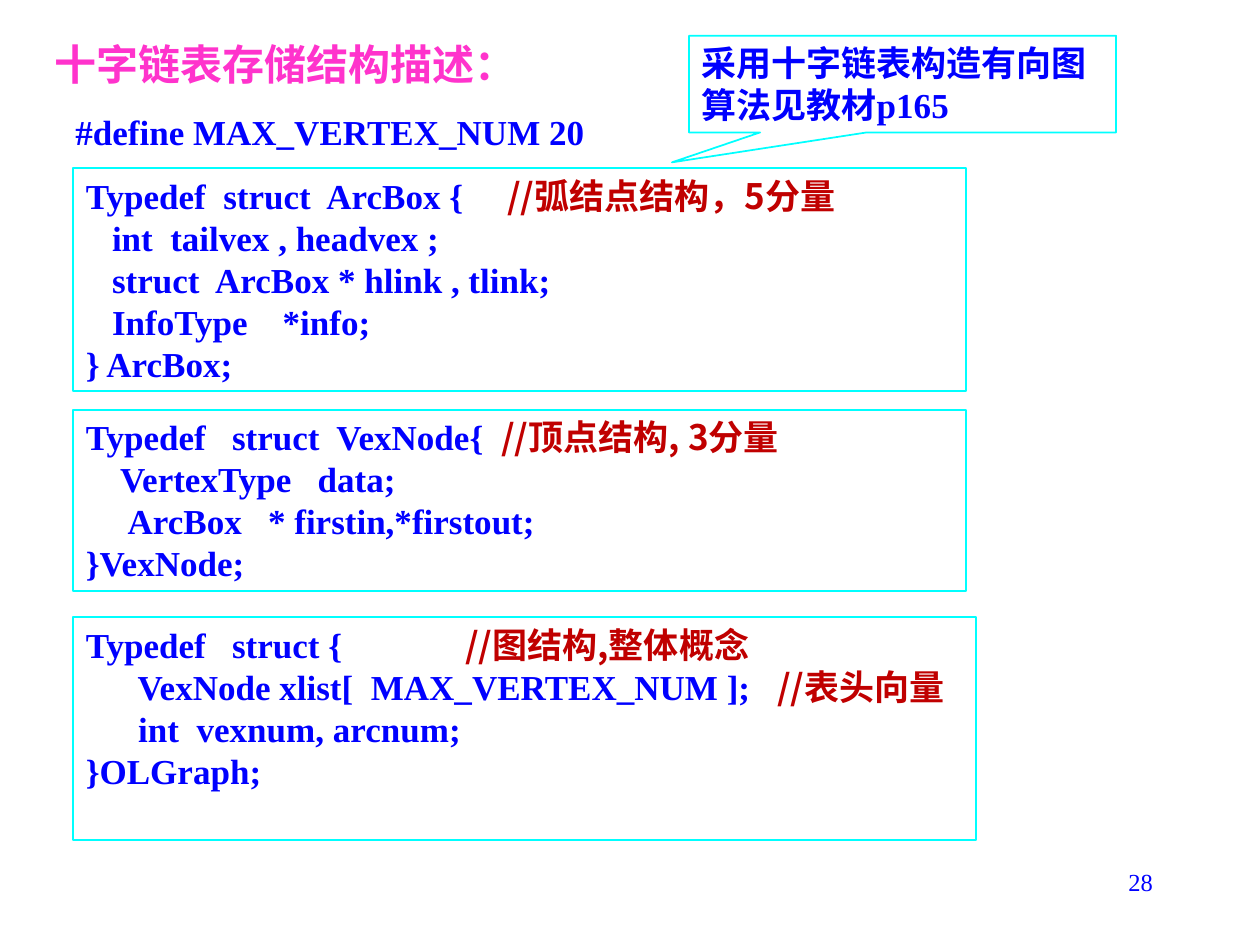
from pptx import Presentation
from pptx.dml.color import RGBColor
from pptx.enum import shapes, text
from pptx.util import Cm, Pt

BLUE = RGBColor(0x00, 0x00, 0xFF)
PINK = RGBColor(0xFF, 0x33, 0xCC)
RED = RGBColor(0xC0, 0x00, 0x00)
CYAN = RGBColor(0x00, 0xFF, 0xFF)
SERIF = "Times New Roman"
SANS = "Noto Sans CJK SC"


def style(para, size=20, color=BLUE, bold=True):
    para.font.name = SERIF
    para.font.size = Pt(size)
    para.font.bold = bold
    para.font.color.rgb = color


def write(shape, lines):
    """Fill a shape with code lines; whatever follows // is red."""
    frame = shape.text_frame
    frame.word_wrap = True
    frame.vertical_anchor = text.MSO_ANCHOR.TOP
    for i, line in enumerate(lines):
        para = frame.add_paragraph() if i else frame.paragraphs[0]
        para.alignment = text.PP_ALIGN.LEFT
        para.line_spacing = Pt(24)
        style(para)
        code, mark, note = line.partition("//")
        para.add_run().text = code
        if mark:
            run = para.add_run()
            run.text = mark + note
            run.font.name = SANS
            run.font.color.rgb = RED


prs = Presentation()
prs.slide_width, prs.slide_height = Cm(25.4), Cm(19.05)
slide = prs.slides.add_slide(prs.slide_layouts[5])

# Title
title = slide.shapes.title
title.left, title.top, title.width, title.height = Cm(0.85), Cm(0.64), Cm(11.43), Cm(1.27)
title.text_frame.text = "十字链表存储结构描述："
title.text_frame.vertical_anchor = text.MSO_ANCHOR.MIDDLE
head = title.text_frame.paragraphs[0]
head.alignment = text.PP_ALIGN.LEFT
style(head, 24, PINK)

# Constant definition
const = slide.shapes.add_textbox(Cm(1.27), Cm(2.11), Cm(18.2), Cm(1.12))
write(const, ["#define MAX_VERTEX_NUM 20"])

# Outlined boxes: kind, left, top, width, height, lines
RECT = shapes.MSO_SHAPE.RECTANGLE
CALL = shapes.MSO_SHAPE.RECTANGULAR_CALLOUT
boxes = [
    (RECT, 1.48, 3.39, 17.99, 4.5, [
        "Typedef  struct  ArcBox {     //弧结点结构，5分量",
        "   int  tailvex , headvex ;",
        "   struct  ArcBox * hlink , tlink;",
        "   InfoType    *info;",
        "} ArcBox;",
    ]),
    (RECT, 1.48, 8.26, 17.99, 3.65, [
        "Typedef   struct  VexNode{  //顶点结构, 3分量",
        "    VertexType   data;",
        "     ArcBox   * firstin,*firstout;",
        "}VexNode;",
    ]),
    (RECT, 1.48, 12.44, 18.2, 4.5, [
        "Typedef   struct {              //图结构,整体概念",
        "      VexNode xlist[  MAX_VERTEX_NUM ];   //表头向量",
        "      int  vexnum, arcnum;",
        "}OLGraph;",
    ]),
    (CALL, 13.89, 0.72, 8.61, 1.95, ["采用十字链表构造有向图算法见教材p165"]),
]
for kind, x, y, w, h, lines in boxes:
    box = slide.shapes.add_shape(kind, Cm(x), Cm(y), Cm(w), Cm(h))
    box.shadow.inherit = False
    box.fill.background()
    box.line.color.rgb = CYAN
    box.line.width = Pt(1)
    write(box, lines)
    if kind == CALL:
        box.adjustments[0], box.adjustments[1] = -0.54, 0.81

# Page number
num = slide.shapes.add_textbox(Cm(18.2), Cm(17.36), Cm(5.29), Cm(1.27))
num.text_frame.word_wrap = True
page = num.text_frame.paragraphs[0]
page.text = "28"
page.alignment = text.PP_ALIGN.RIGHT
style(page, 14, bold=False)

prs.save("out.pptx")
